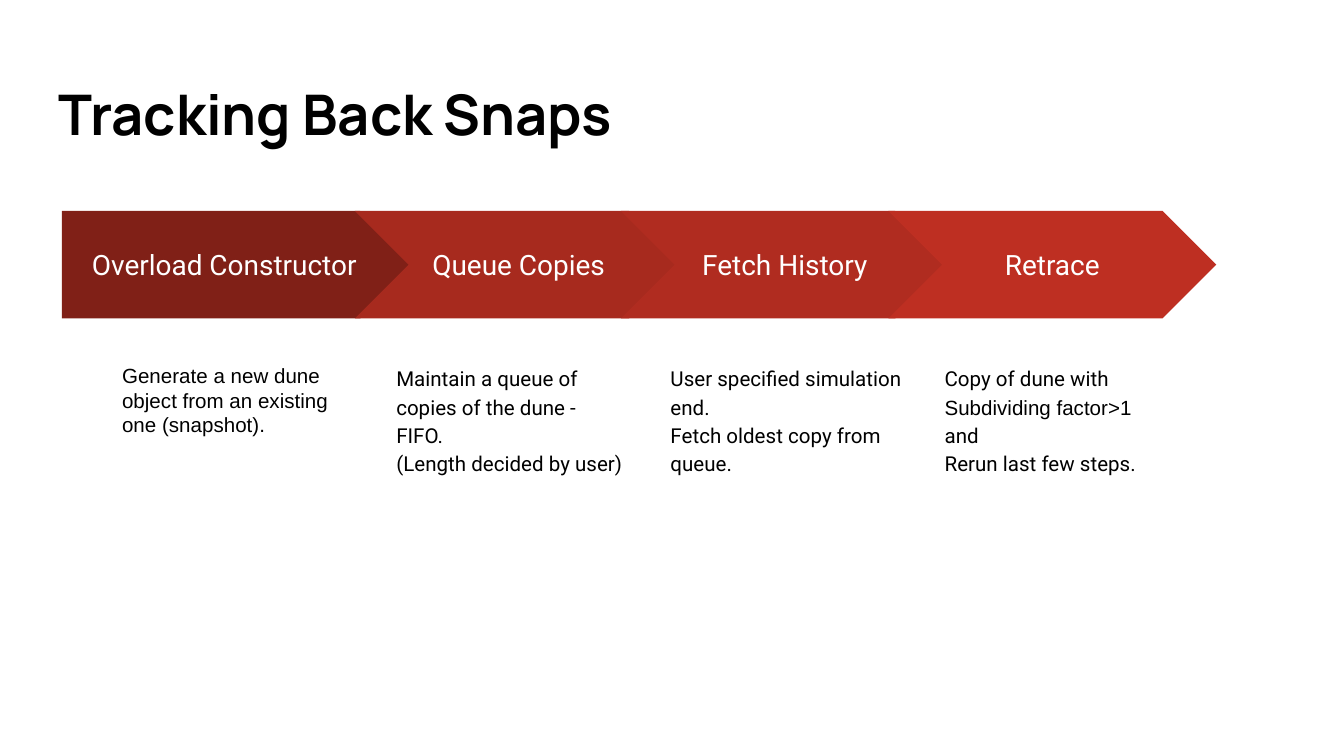
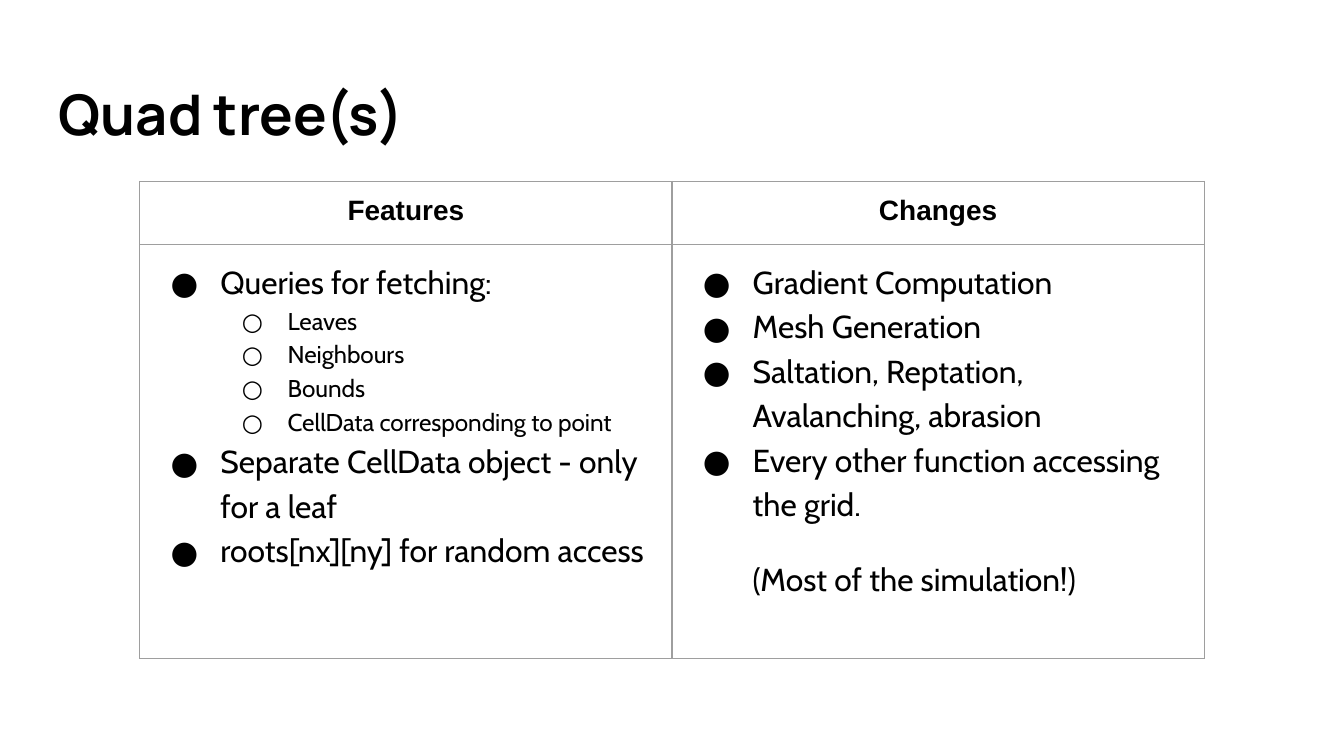
from lxml import etree
from pptx import Presentation
from pptx import util as u
from pptx.dml.color import RGBColor
from pptx.enum import shapes, text
from pptx.oxml.ns import qn

# Shared style
SLIDE_WIDTH = 10
BLACK, WHITE, GRID = "000000", "FFFFFF", "9E9E9E"
TITLE_FONT, STEP_FONT, LIST_FONT, PLAIN_FONT = "Manrope", "Roboto", "Cabin", "Arial"
INSET = u.Inches(0.1)

# Content: heading, colour, arrow left, arrow width, lines as (text, font), line spacing
STEPS = [
    ("Overload Constructor", "802017", 0.46, 2.62,
     [("Generate a new dune object from an existing one (snapshot).", PLAIN_FONT)], None),
    ("Queue Copies", "A72A1E", 2.64, 2.44,
     [("Maintain a queue of copies of the dune - FIFO.", STEP_FONT),
      ("(Length decided by user)", STEP_FONT)], 1.15),
    ("Fetch History", "B02C20", 4.62, 2.44,
     [("User specified simulation end.", STEP_FONT),
      ("Fetch oldest copy from queue.", STEP_FONT)], 1.15),
    ("Retrace", "BE2F22", 6.61, 2.44,
     [("Copy of dune with", STEP_FONT), ("Subdividing factor>1", PLAIN_FONT),
      ("and", STEP_FONT), ("Rerun last few steps.", STEP_FONT)], 1.15),
]

# Content: heading and (style, text) items
COLUMNS = [
    ("Features", [
        ("main", "Queries for fetching:"),
        ("sub", "Leaves"),
        ("sub", "Neighbours"),
        ("sub", "Bounds"),
        ("sub", "CellData corresponding to point"),
        ("main", "Separate CellData object - only for a leaf"),
        ("main", "roots[nx][ny] for random access"),
    ]),
    ("Changes", [
        ("main", "Gradient Computation"),
        ("main", "Mesh Generation"),
        ("main", "Saltation, Reptation, Avalanching, abrasion"),
        ("main", "Every other function accessing the grid."),
        ("remark", "(Most of the simulation!)"),
    ]),
]
# Level, left margin, first-line indent, bullet, size, space around
ITEM_STYLES = {
    "main": (0, 0.5, -0.37, "●", 17, 0),
    "sub": (1, 1, -0.34, "○", 13, 0),
    "remark": (0, 0.5, 0, None, 17, 16),
}


def rgb(value):
    return RGBColor.from_string(value)


def set_insets(holder):
    holder.margin_left = holder.margin_right = INSET
    holder.margin_top = holder.margin_bottom = INSET


def prepare_frame(shape, anchor=text.MSO_ANCHOR.TOP):
    frame = shape.text_frame
    frame.word_wrap = True
    frame.vertical_anchor = anchor
    set_insets(frame)
    return frame


def next_paragraph(frame, index):
    return frame.add_paragraph() if index else frame.paragraphs[0]


def add_run(paragraph, words, size, font, color=BLACK, bold=False):
    run = paragraph.add_run()
    run.text = words
    run.font.size, run.font.name, run.font.bold = u.Pt(size), font, bold
    run.font.color.rgb = rgb(color)


def add_box(slide, left, top, width, height):
    box = slide.shapes.add_textbox(*map(u.Inches, (left, top, width, height)))
    return prepare_frame(box)


def new_slide(deck, title):
    slide = deck.slides.add_slide(deck.slide_layouts[6])
    slide.background.fill.solid()
    slide.background.fill.fore_color.rgb = rgb(WHITE)
    frame = add_box(slide, 0.34, 0.49, 9.32, 0.68)
    add_run(frame.paragraphs[0], title, 30, TITLE_FONT, bold=True)
    return slide


def add_arrow(slide, kind, heading, color, left, width):
    arrow = slide.shapes.add_shape(kind, *map(u.Inches, (left, 1.57, width, 0.8)))
    arrow.shadow.inherit = False
    arrow.adjustments[0] = 0.5
    arrow.fill.solid()
    arrow.fill.fore_color.rgb = rgb(color)
    arrow.line.fill.background()
    label = prepare_frame(arrow, text.MSO_ANCHOR.MIDDLE).paragraphs[0]
    label.alignment = text.PP_ALIGN.CENTER
    add_run(label, heading, 15, STEP_FONT, WHITE)


def add_border(cell):
    properties = cell._tc.get_or_add_tcPr()
    for side in ("lnL", "lnR", "lnT", "lnB"):
        line = etree.SubElement(properties, qn("a:" + side), w=str(u.Pt(0.75)))
        fill = etree.SubElement(line, qn("a:solidFill"))
        etree.SubElement(fill, qn("a:srgbClr"), val=GRID)


def add_item(paragraph, style, words):
    level, margin, indent, bullet, size, space = ITEM_STYLES[style]
    properties = paragraph._p.get_or_add_pPr()
    properties.set("marL", str(u.Inches(margin)))
    properties.set("indent", str(u.Inches(indent)))
    if bullet:
        color = etree.SubElement(properties, qn("a:buClr"))
        etree.SubElement(color, qn("a:srgbClr"), val=BLACK)
        etree.SubElement(properties, qn("a:buFont"), typeface=LIST_FONT)
        etree.SubElement(properties, qn("a:buChar"), char=bullet)
    paragraph.level = level
    paragraph.line_spacing = 1.15
    paragraph.space_before = paragraph.space_after = u.Pt(space)
    add_run(paragraph, words, size, LIST_FONT)


def build_tracking(deck):
    slide = new_slide(deck, "Tracking Back Snaps")
    for i, (heading, color, left, width, lines, spacing) in enumerate(STEPS):
        kind = shapes.MSO_SHAPE.CHEVRON if i else shapes.MSO_SHAPE.PENTAGON
        add_arrow(slide, kind, heading, color, left, width)
        # Explanation below the arrow
        frame = add_box(slide, 0.81 + 2.04 * i, 2.6, 1.92, 2.8)
        for j, (words, font) in enumerate(lines):
            paragraph = next_paragraph(frame, j)
            if spacing:
                paragraph.line_spacing = spacing
            add_run(paragraph, words, 11, font)


def build_quad_tree(deck):
    slide = new_slide(deck, "Quad tree(s)")
    column_width, row_heights = 3.96, (0.47, 3.08)
    table = slide.shapes.add_table(
        len(row_heights), len(COLUMNS), u.Inches(1.04), u.Inches(1.35),
        u.Inches(column_width * len(COLUMNS)), u.Inches(sum(row_heights))).table
    table.first_row = table.horz_banding = False
    for row, height in zip(table.rows, row_heights):
        row.height = u.Inches(height)
    for cell in table.iter_cells():
        add_border(cell)
        cell.fill.background()
        set_insets(cell)
    # Headings and lists
    for i, (heading, items) in enumerate(COLUMNS):
        table.columns[i].width = u.Inches(column_width)
        top = table.cell(0, i).text_frame.paragraphs[0]
        top.alignment = text.PP_ALIGN.CENTER
        add_run(top, heading, 15, PLAIN_FONT, bold=True)
        body = table.cell(1, i).text_frame
        for j, (style, words) in enumerate(items):
            add_item(next_paragraph(body, j), style, words)


def main():
    deck = Presentation()
    # Widescreen, 16:9
    deck.slide_width = u.Inches(SLIDE_WIDTH)
    deck.slide_height = u.Inches(SLIDE_WIDTH * 9 / 16)
    build_tracking(deck)
    build_quad_tree(deck)
    deck.save("out.pptx")


if __name__ == "__main__":
    main()
